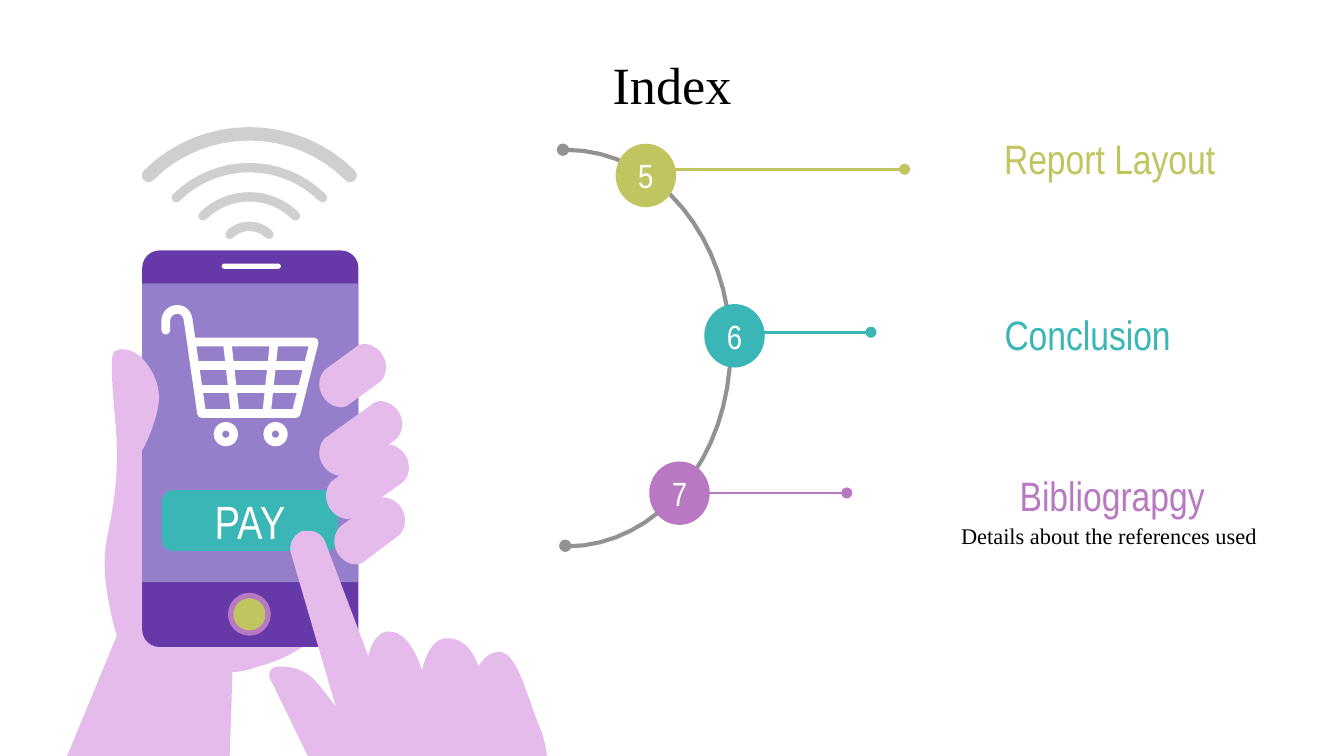
"""Build the second index slide: a numbered timeline beside a mobile payment drawing."""
import lxml.etree
import pptx
import pptx.dml.color
import pptx.enum.shapes
import pptx.enum.text
import pptx.oxml.ns
import pptx.util

Pt = pptx.util.Pt
qn = pptx.oxml.ns.qn
Preset = pptx.enum.shapes.MSO_SHAPE
Align = pptx.enum.text.PP_ALIGN
color = pptx.dml.color.RGBColor.from_string

THEME = {
    "black": color("000000"), "white": color("FFFFFF"), "gray": color("929292"),
    "wave": color("CFCFCF"), "olive": color("C0C55F"), "teal": color("39B6B5"),
    "orchid": color("B878C2"), "skin": color("E5BBEB"), "case": color("6639A8"),
    "screen": color("957FCA"), "serif": "Times New Roman", "narrow": "Arial Narrow",
    "title": 28, "button": 25, "heading": 22, "badge": 18, "detail": 12,
}


def write_text(shape, text, size, font="narrow", fill="white", align=Align.CENTER):
    """Fill a shape with one formatted paragraph."""
    frame = shape.text_frame
    frame.auto_size = pptx.enum.text.MSO_AUTO_SIZE.NONE
    frame.word_wrap = True
    frame.vertical_anchor = pptx.enum.text.MSO_ANCHOR.MIDDLE
    frame.margin_left = frame.margin_right = Pt(7.2)
    frame.margin_top = frame.margin_bottom = Pt(7.2)
    paragraph = frame.paragraphs[0]
    paragraph.text = text
    paragraph.alignment = align
    paragraph.font.size = Pt(THEME[size])
    paragraph.font.name = THEME[font]
    paragraph.font.color.rgb = THEME[fill]


def draw_outline(start, segments, fill=None, line=None, width=0):
    """Draw lines (x, y) and Bezier curves (six numbers) as a filled or stroked outline."""
    points = [start]
    for segment in segments:
        if len(segment) == 2:
            points.append(segment)
            continue
        x0, y0 = points[-1]
        x1, y1, x2, y2, x3, y3 = segment
        for step in range(1, 17):
            t = step / 16
            a, b, c, d = (1 - t) ** 3, 3 * t * (1 - t) ** 2, 3 * t * t * (1 - t), t ** 3
            points.append((a * x0 + b * x1 + c * x2 + d * x3, a * y0 + b * y1 + c * y2 + d * y3))
    corners = [(Pt(x), Pt(y)) for x, y in points]
    builder = slide.shapes.build_freeform(*corners[0])
    builder.add_line_segments(corners[1:], close=fill is not None)
    shape = builder.convert_to_shape()
    shape.shadow.inherit = False
    if fill:
        shape.fill.solid()
        shape.fill.fore_color.rgb = THEME[fill]
        shape.line.fill.background()
    else:
        shape.fill.background()
        shape.line.color.rgb = THEME[line]
        shape.line.width = Pt(width)
        stroke = shape.element.spPr.find(qn("a:ln"))
        stroke.set("cap", "rnd")
        lxml.etree.SubElement(stroke, qn("a:round"))


presentation = pptx.Presentation()
presentation.slide_width, presentation.slide_height = Pt(720), Pt(405)
slide = presentation.slides.add_slide(presentation.slide_layouts[5])

title = slide.shapes.title
title.left, title.top, title.width, title.height = Pt(198), Pt(32.4), Pt(324), Pt(25.2)
write_text(title, "Index", "title", font="serif", fill="black")

labels = [
    ("Report Layout", 477.4, 67.7, 180.7, 33.8, "heading", "narrow", "olive"),
    ("Conclusion", 453.6, 162, 180.7, 33.8, "heading", "narrow", "teal"),
    ("Bibliograpgy", 466.6, 248.4, 185.8, 33.8, "heading", "narrow", "orchid"),
    ("Details about the references used", 484.6, 270.7, 196, 32.4, "detail", "serif", "black"),
]
for text, left, top, width, height, size, font, fill in labels:
    box = slide.shapes.add_textbox(Pt(left), Pt(top), Pt(width), Pt(height))
    write_text(box, text, size, font=font, fill=fill, align=Align.RIGHT)

draw_outline(
    (303.8, 80.3),
    [(352.1, 80.3, 391.3, 127.9, 391.3, 186.5), (391.3, 245.1, 352.1, 292.7, 303.8, 292.7)],
    line="gray", width=2.2,
)

badges = [
    ("5", 329.8, 77, 90.7, 484.6, "olive"),
    ("7", 347.8, 247.2, 264.1, 453.6, "orchid"),
    ("6", 377.3, 162.9, 178, 466.6, "teal"),
]
for number, left, top, level, reach, fill in badges:
    connector = slide.shapes.add_connector(
        pptx.enum.shapes.MSO_CONNECTOR.STRAIGHT, Pt(left + 28), Pt(level), Pt(reach), Pt(level))
    connector.line.color.rgb = THEME[fill]
    connector.line.width = Pt(1.5)
    lxml.etree.SubElement(connector.element.spPr.find(qn("a:ln")), qn("a:tailEnd"), type="oval")
    lxml.etree.SubElement(connector.element.spPr, qn("a:effectLst"))
    badge = slide.shapes.add_shape(Preset.OVAL, Pt(left), Pt(top), Pt(32.4), Pt(34))
    badge.shadow.inherit = False
    badge.fill.solid()
    badge.fill.fore_color.rgb = THEME[fill]
    badge.line.fill.background()
    write_text(badge, number, "badge")

draw_outline((65.5, 187.2), [
    (63.4, 187.2, 61.9, 187.9, 61.2, 188.6), (57.6, 191.5, 62.6, 227.5, 62.6, 239),
    (63.4, 265.7, 57.6, 284.4, 56.9, 291.6), (54.7, 302.4, 56.9, 321.1, 62.6, 340.6),
    (36, 405), (123.1, 405), (124.6, 360),
    (128.2, 360, 132.5, 359.3, 136.1, 357.8), (173.5, 348.5, 180, 324.7, 180, 324.7),
    (180, 324.7, 99.4, 258.5, 90.7, 221.8), (84.2, 193.7, 72.7, 187.2, 65.5, 187.2),
], fill="skin")

parts = [
    (Preset.OVAL, 298.3, 76.9, 6.6, 6.6, "gray", None, None),
    (Preset.OVAL, 299.5, 289.1, 6.6, 6.6, "gray", None, None),
    (Preset.ROUNDED_RECTANGLE, 76.2, 134.2, 115.8, 212.4, "case", 0.08, None),
    (Preset.RECTANGLE, 76.2, 151.9, 115.5, 160, "screen", None, None),
    (Preset.DONUT, 114.5, 226.1, 13, 13, "white", 0.35, None),
    (Preset.DONUT, 141.1, 226.1, 13, 13, "white", 0.35, None),
    (Preset.ROUNDED_RECTANGLE, 86.6, 262.6, 94.6, 32.6, "teal", 0.19, "PAY"),
    (Preset.ROUNDED_RECTANGLE, 118.8, 141.2, 31.7, 2.8, "white", 0.5, None),
    (Preset.OVAL, 122.1, 317.6, 23, 23, "orchid", None, None),
    (Preset.OVAL, 125, 320.5, 17.2, 17.2, "olive", None, None),
]
for preset, left, top, width, height, fill, adjustment, text in parts:
    part = slide.shapes.add_shape(preset, Pt(left), Pt(top), Pt(width), Pt(height))
    part.shadow.inherit = False
    part.fill.solid()
    part.fill.fore_color.rgb = THEME[fill]
    part.line.fill.background()
    if adjustment:
        part.adjustments[0] = adjustment
    if text:
        write_text(part, text, "button")

draw_outline((88.8, 176.9), [
    (88.8, 172.1), (88.8, 168.5, 91.6, 165.8, 95, 165.8), (98, 165.8, 100.3, 168, 100.8, 171.4),
    (108, 221.5), (158.6, 221.5), (168.3, 183.2), (102.8, 183.2),
], line="white", width=4.7)
bars = [
    ((121.8, 183.8), (126, 221.4)), ((146.8, 183.8), (142.8, 221.4)),
    ((106.6, 195.8), (162.6, 195.8)), ((108.2, 208.4), (161.2, 208.4)),
]
for start, end in bars:
    draw_outline(start, [end], line="white", width=4.5)

fingers = [
    (174.2, 234.7, 24.5, -17.6), (177.8, 257.8, 24.5, -17.6),
    (182.2, 282.2, 18, -13.5), (174.2, 198, 15.8, -11.5),
]
for x, y, dx, dy in fingers:
    tip_x, tip_y = x + dx, y + dy
    draw_outline((x, y), [
        (x - 3.6, y + 3.6, x - 4.3, y + 10.1, x - 0.7, y + 15.1),
        (x + 1.4, y + 18, x + 5, y + 20.2, x + 8.6, y + 20.2),
        (x + 10.1, y + 20.2, x + 12.2, y + 19.4, x + 13.7, y + 18),
        (tip_x + 13.7, tip_y + 18),
        (tip_x + 17.3, tip_y + 14.4, tip_x + 18, tip_y + 7.9, tip_x + 14.4, tip_y + 2.9),
        (tip_x + 12.3, tip_y, tip_x + 8.7, tip_y - 2.2, tip_x + 5.1, tip_y - 2.2),
        (tip_x + 3.6, tip_y - 2.2, tip_x + 1.5, tip_y - 1.4, tip_x, tip_y),
    ], fill="skin")

draw_outline((74.9, 190.8), [
    (72.7, 211), (76.3, 241.2),
    (76.3, 241.2, 86.4, 222.5, 85, 210.2), (83.5, 198, 74.9, 190.8, 74.9, 190.8),
], fill="skin")

draw_outline((165.6, 284.4), [
    (162, 284.4), (157, 286.6, 154.1, 292.3, 156.2, 297.4), (180, 378.7),
    (175.7, 373, 171.4, 367.2, 167.8, 363.6), (162.7, 358.6, 156.2, 357.1, 150.5, 357.1),
    (149, 357.1), (145.4, 357.1, 143.3, 360.7, 144.7, 363.6),
    (149, 372.2, 157, 388.8, 164.9, 405), (293, 405),
    (292.3, 398.9, 290.9, 393.8, 289.4, 390.2), (283, 375.1, 277.9, 352.8, 270, 349.9),
    (268.6, 349.2, 267.8, 349.2, 267.1, 349.2), (260.6, 349.2, 256.3, 357.1, 256.3, 357.1),
    (256.3, 357.1, 252, 342, 240.5, 342), (238.3, 342),
    (229, 343.4, 226.1, 359.3, 226.1, 359.3), (226.1, 359.3, 220.3, 338.4, 208.8, 338.4),
    (206.6, 338.4), (201.6, 339.8, 198.7, 345.6, 197.3, 351.4), (174.2, 290.2),
    (172.8, 286.6, 169.2, 284.4, 165.6, 284.4),
], fill="skin")

center = 133.6
for half, base, width in [(10.5, 125.6, 5), (39.2, 106, 5), (24.8, 115.7, 5), (54, 94, 7.2)]:
    bend = 0.55 * half
    draw_outline((center - half, base), [
        (center - half + bend, base - bend, center + half - bend, base - bend, center + half, base),
    ], line="wave", width=width)

presentation.save("out.pptx")
